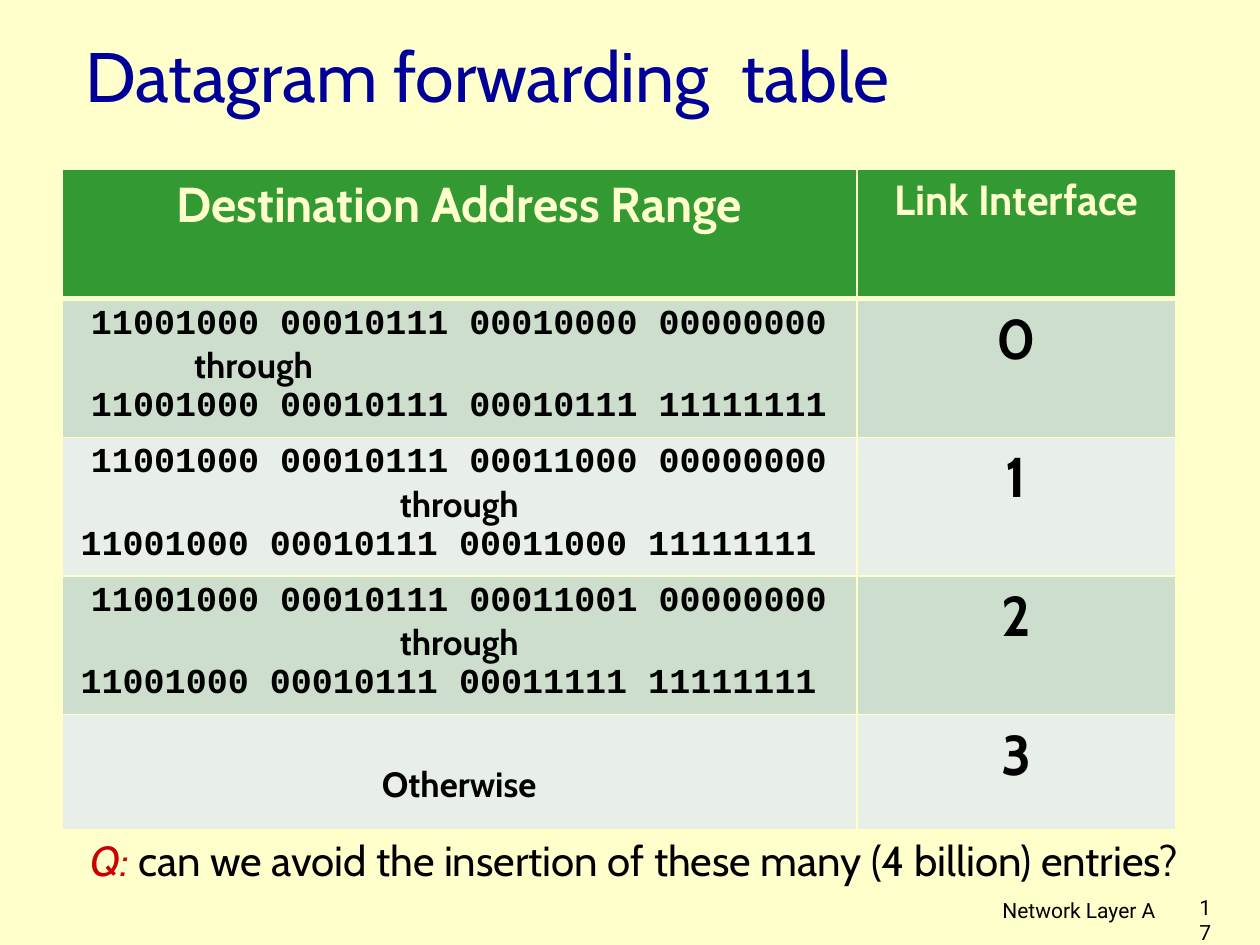
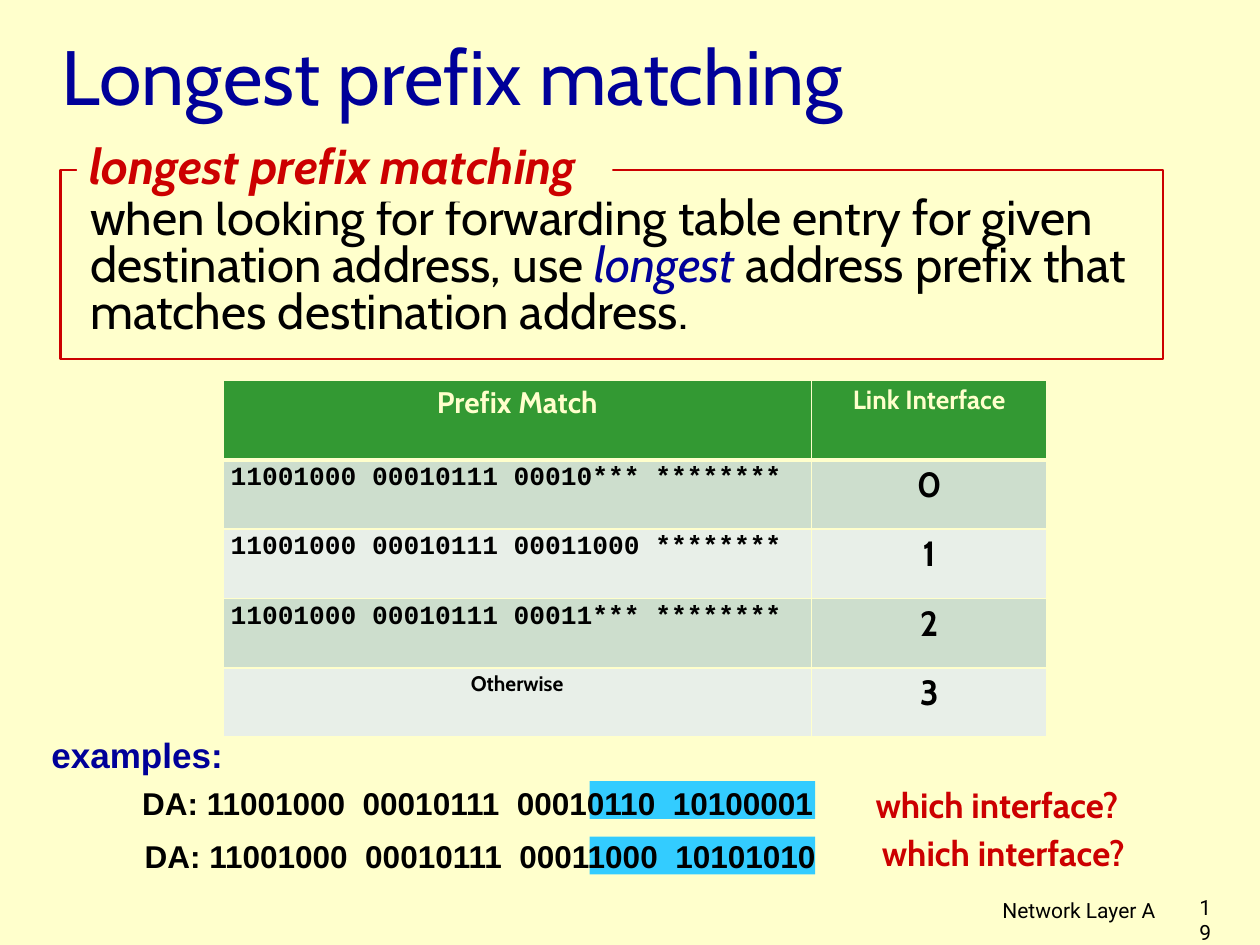
import pptx
import pptx.util
import pptx.dml.color
import pptx.enum.shapes
import pptx.enum.text
import pptx.oxml

Inches, Pt = pptx.util.Inches, pptx.util.Pt
ALIGN = pptx.enum.text.PP_ALIGN
ANCHOR = pptx.enum.text.MSO_ANCHOR

COLORS = {
    "page": "FFFFCC", "title": "000099", "text": "000000", "accent": "CC0000",
    "header": "339933", "odd": "CDDECD", "even": "E8EFE8", "highlight": "33CCFF",
}
WIDTH, HEIGHT = 10, 7.5
BODY, CODE, PLAIN, FOOT = "Cabin", "Courier New", "Arial", "Roboto"
FOOTER = "Network Layer A"

# Each address line is (text, font, left indent); no indent means centred.
RANGES = [
    [("11001000 00010111 00010000 00000000", CODE, None),
     ("through", BODY, 0.95),
     ("11001000 00010111 00010111 11111111", CODE, None)],
    [("11001000 00010111 00011000 00000000", CODE, None),
     ("through", BODY, None),
     ("11001000 00010111 00011000 11111111", CODE, 0.05)],
    [("11001000 00010111 00011001 00000000", CODE, None),
     ("through", BODY, None),
     ("11001000 00010111 00011111 11111111", CODE, 0.05)],
    [("Otherwise", BODY, None)],
]
PREFIXES = [
    [("11001000 00010111 00010*** ********", CODE, 0)],
    [("11001000 00010111 00011000 ********", CODE, 0)],
    [("11001000 00010111 00011*** ********", CODE, 0)],
    [("Otherwise", BODY, None)],
]
RANGE_TABLE = {
    "headers": [("Destination Address Range", 28), ("Link Interface", 24)],
    "entries": RANGES, "address_size": 20, "otherwise_size": 20, "link_size": 32,
    "corner": (0.49, 1.34), "columns": (6.31, 2.53), "rows": (1.03, 1.1, 1.1, 1.1, 0.91),
    "insets": (0.1, 0.05), "otherwise_top": 0.39,
}
PREFIX_TABLE = {
    "headers": [("Prefix Match", 17), ("Link Interface", 15)],
    "entries": PREFIXES, "address_size": 15, "otherwise_size": 12, "link_size": 20,
    "corner": (1.77, 3.02), "columns": (4.67, 1.87), "rows": (0.63, 0.55, 0.55, 0.55, 0.55),
    "insets": (0.06, 0.03), "otherwise_top": 0.03,
}
QUESTION = [("Q:", {"color": "accent", "italic": True}),
            (" can we avoid the insertion of these many (4 billion) entries?", {})]
DEFINITION = [
    ("when looking for forwarding table entry for given destination address, use ", {}),
    ("longest", {"color": "title", "italic": True}),
    (" address prefix that matches destination address.", {}),
]
# Address, then (left, top) of the address and of its question, top of the highlight.
EXAMPLES = [
    ("DA: 11001000  00010111  00010110  10100001", (1.03, 6.17), (6.85, 6.17), 6.2),
    ("DA: 11001000  00010111  00011000  10101010", (1.05, 6.59), (6.9, 6.55), 6.64),
]


def rgb(name):
    return pptx.dml.color.RGBColor.from_string(COLORS[name])


def style_run(run, font, size, color="text", bold=False, italic=False):
    run.font.name = font
    run.font.size = Pt(size)
    run.font.bold = bold
    run.font.italic = italic
    run.font.color.rgb = rgb(color)


def fill_frame(shape, runs, font, size, align=ALIGN.LEFT, anchor=ANCHOR.TOP, spacing=None, **style):
    """Write one paragraph; runs is a string or a list of (text, style changes)."""
    frame = shape.text_frame
    frame.word_wrap = True
    frame.vertical_anchor = anchor
    paragraph = frame.paragraphs[0]
    paragraph.alignment = align
    if spacing:
        paragraph.line_spacing = spacing
    for text, changes in [(runs, {})] if isinstance(runs, str) else runs:
        run = paragraph.add_run()
        run.text = text
        style_run(run, font, size, **{**style, **changes})


def add_text(slide, box, runs, font, size, **options):
    shape = slide.shapes.add_textbox(*map(Inches, box))
    fill_frame(shape, runs, font, size, **options)


def add_box(slide, box, fill, line=None):
    shape = slide.shapes.add_shape(pptx.enum.shapes.MSO_SHAPE.RECTANGLE, *map(Inches, box))
    shape.shadow.inherit = False
    shape.fill.solid()
    shape.fill.fore_color.rgb = rgb(fill)
    if line:
        shape.line.color.rgb = rgb(line)
        shape.line.width = Pt(1.5)
    else:
        shape.line.fill.background()
    return shape


def start_slide(presentation, number, title, title_box, title_size):
    slide = presentation.slides.add_slide(presentation.slide_layouts[6])
    slide.background.fill.solid()
    slide.background.fill.fore_color.rgb = rgb("page")
    add_text(slide, (9.42, 7.05, 0.29, 0.3), str(number), FOOT, 12)
    add_text(slide, (6.1, 7.07, 3.17, 0.31), FOOTER, FOOT, 12, align=ALIGN.RIGHT)
    add_text(slide, title_box, title, BODY, title_size, anchor=ANCHOR.MIDDLE, color="title")
    return slide


def add_borders(cell, row):
    """Thin rules all round, with a thick one between header and body."""
    thick = {0: "B", 1: "T"}.get(row)
    properties = cell._tc.get_or_add_tcPr()
    for side in "LRTB":
        width = Pt(3 if side == thick else 1)
        properties.append(pptx.oxml.parse_xml(
            f'<a:ln{side} xmlns:a="http://schemas.openxmlformats.org/drawingml/2006/main" w="{width}">'
            f'<a:solidFill><a:srgbClr val="{COLORS["page"]}"/></a:solidFill></a:ln{side}>'))


def fill_cell(cell, lines, size, color):
    frame = cell.text_frame
    frame.text = "\n".join(text for text, _, _ in lines)
    for paragraph, (_, font, indent) in zip(frame.paragraphs, lines):
        paragraph.alignment = ALIGN.CENTER if indent is None else ALIGN.LEFT
        if indent:
            paragraph._p.get_or_add_pPr().set("marL", str(Inches(indent)))
        style_run(paragraph.runs[0], font, size, color, bold=True)


def add_forwarding_table(slide, design):
    columns, rows = design["columns"], design["rows"]
    box = (*design["corner"], sum(columns), sum(rows))
    table = slide.shapes.add_table(len(rows), len(columns), *map(Inches, box)).table
    for column, width in zip(table.columns, columns):
        column.width = Inches(width)
    for row, height in zip(table.rows, rows):
        row.height = Inches(height)

    side, top = map(Inches, design["insets"])
    for row in range(len(rows)):
        for column in range(len(columns)):
            cell = table.cell(row, column)
            cell.margin_left = cell.margin_right = side
            cell.margin_top = cell.margin_bottom = top
            add_borders(cell, row)
            cell.fill.solid()
            cell.fill.fore_color.rgb = rgb("header" if row == 0 else "odd" if row % 2 else "even")

    for column, (text, size) in enumerate(design["headers"]):
        fill_cell(table.cell(0, column), [(text, BODY, None)], size, "page")
    last = len(rows) - 1
    for row, lines in enumerate(design["entries"], start=1):
        size = design["otherwise_size" if row == last else "address_size"]
        fill_cell(table.cell(row, 0), lines, size, "text")
        fill_cell(table.cell(row, 1), [(str(row - 1), BODY, None)], design["link_size"], "text")
    table.cell(last, 0).margin_top = Inches(design["otherwise_top"])


def build_range_slide(presentation):
    slide = start_slide(presentation, 17, "Datagram forwarding  table", (0.58, 0.12, 6.98, 0.94), 40)
    add_text(slide, (0.62, 6.57, 8.98, 0.51), QUESTION, BODY, 24)
    add_forwarding_table(slide, RANGE_TABLE)


def build_prefix_slide(presentation):
    slide = start_slide(presentation, 19, "Longest prefix matching", (0.39, 0.1, 8.5, 0.99), 44)
    add_box(slide, (0.48, 1.35, 8.75, 1.5), "page", "accent")
    add_text(slide, (0.62, 1.52, 8.53, 1.22), DEFINITION, BODY, 28, spacing=0.8)
    label = add_box(slide, (0.61, 1.03, 4.25, 0.57), "page")
    fill_frame(label, "longest prefix matching", BODY, 28, color="accent", bold=True, italic=True)
    add_forwarding_table(slide, PREFIX_TABLE)

    add_text(slide, (0.31, 5.77, 1.57, 0.44), "examples:", PLAIN, 20, color="title", bold=True)
    for address, address_corner, question_corner, highlight_top in EXAMPLES:
        add_box(slide, (4.68, highlight_top, 1.79, 0.3), "highlight")
        add_text(slide, (*address_corner, 5.68, 0.4), address, PLAIN, 18,
                 anchor=ANCHOR.MIDDLE, bold=True)
        add_text(slide, (*question_corner, 2.31, 0.44), "which interface?", BODY, 20,
                 color="accent", bold=True)


def main():
    presentation = pptx.Presentation()
    presentation.slide_width = Inches(WIDTH)
    presentation.slide_height = Inches(HEIGHT)
    build_range_slide(presentation)
    build_prefix_slide(presentation)
    presentation.save("out.pptx")


if __name__ == "__main__":
    main()
